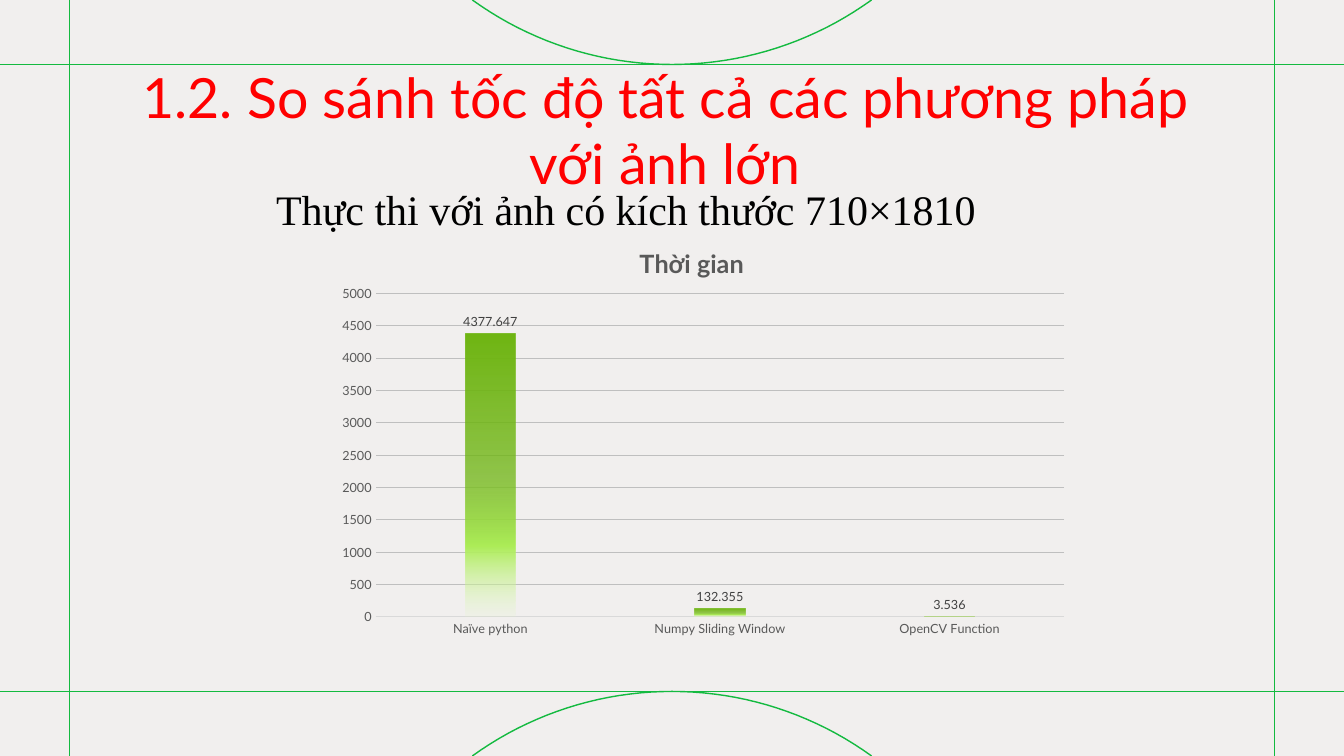
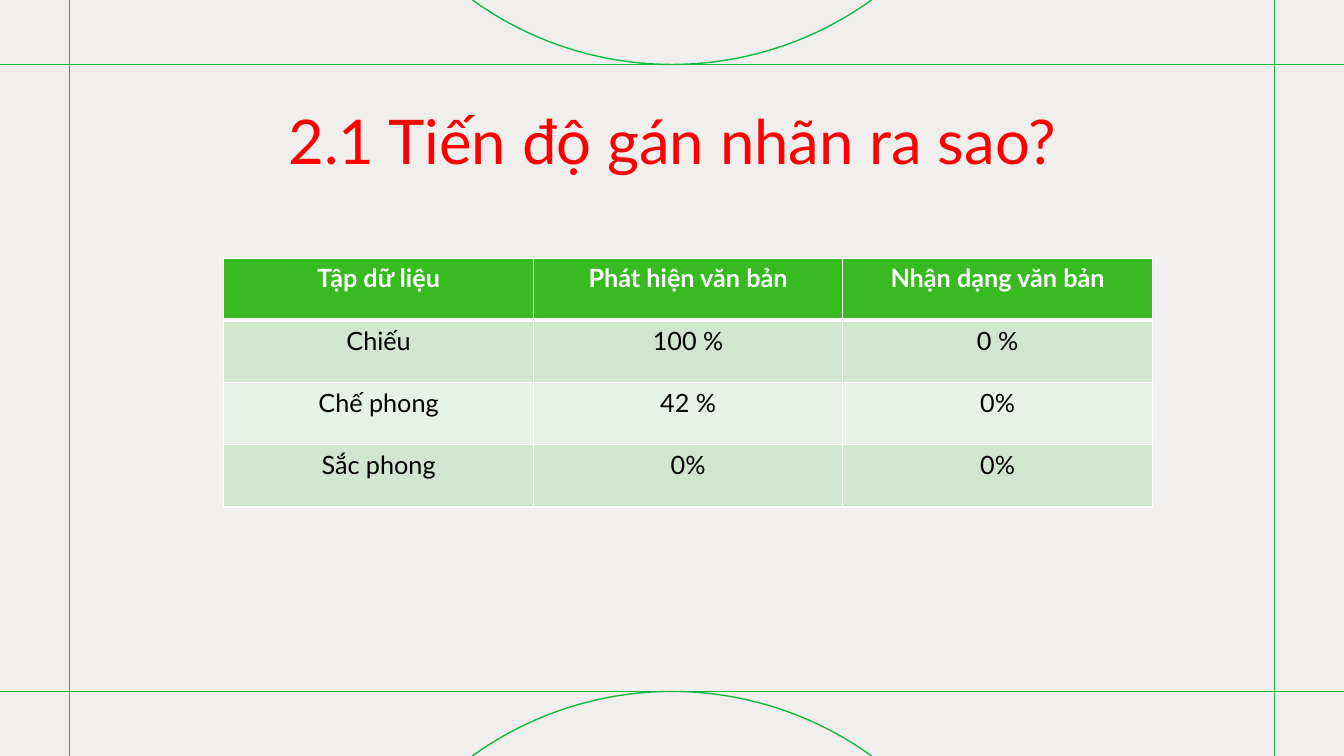
from math import asin, cos, sin

from pptx import Presentation
from pptx.chart.data import CategoryChartData
from pptx.dml.color import RGBColor
from pptx.enum.chart import XL_CHART_TYPE, XL_LABEL_POSITION, XL_TICK_MARK
from pptx.enum.text import MSO_ANCHOR, PP_ALIGN
from pptx.oxml import parse_xml
from pptx.oxml.ns import nsdecls
from pptx.util import Inches, Pt

FONT = "Lato"
PAPER, GREEN, RED = "F1EFEE", "14BA40", "FF0000"
BLACK, WHITE, GRAY = "000000", "FFFFFF", "595959"
W, H = 13.33, 7.5
MARGIN_X, MARGIN_Y = 0.69, 0.64
ARC_HALF, ARC_STEPS = 1.98, 40


def style(font, size, color, name=FONT, bold=False):
    font.name, font.size, font.bold = name, Pt(size), bold
    font.color.rgb = RGBColor.from_string(color)


def add_text(s, box, text, size, color, name=FONT, align=PP_ALIGN.LEFT, anchor=MSO_ANCHOR.TOP):
    tf = s.shapes.add_textbox(*map(Inches, box)).text_frame
    tf.word_wrap, tf.vertical_anchor = True, anchor
    p = tf.paragraphs[0]
    p.text, p.alignment = text, align
    style(p.runs[0].font, size, color, name)


prs = Presentation()
prs.slide_width, prs.slide_height = Inches(W), Inches(H)
bg = prs.slide_master.background.fill
bg.solid()
bg.fore_color.rgb = RGBColor.from_string(PAPER)

# Shared frame: four rules, an arc at the top and at the bottom, and the title
frame_lines = [
    (0, H - MARGIN_Y, W, H - MARGIN_Y),
    (0, MARGIN_Y, W, MARGIN_Y),
    (W - MARGIN_X, H, W - MARGIN_X, 0),
    (MARGIN_X, H, MARGIN_X, 0),
]
radius = (ARC_HALF ** 2 + MARGIN_Y ** 2) / (2 * MARGIN_Y)
half_angle = asin(ARC_HALF / radius)
angles = [half_angle * (2 * i / ARC_STEPS - 1) for i in range(ARC_STEPS + 1)]
top_arc = [(W / 2 + radius * sin(a), MARGIN_Y - radius * (1 - cos(a))) for a in angles]
bottom_arc = [(x, H - y) for x, y in top_arc]

titles = [
    ("1.2. So sánh tốc độ tất cả các phương pháp với ảnh lớn", (0.92, 0.8, 11.36, 0.97), 39.6),
    ("2.1 Tiến độ gán nhãn ra sao?", (0.92, 0.66, 11.5, 1.45), 44),
]
slides = []
for title, box, size in titles:
    s = prs.slides.add_slide(prs.slide_layouts[6])
    slides.append(s)
    outlines = []
    for ends in frame_lines:
        line = s.shapes.add_connector(1, *map(Inches, ends))
        line._element.spPr.append(parse_xml(f"<a:effectLst {nsdecls('a')}/>"))
        outlines.append(line)
    for points in (top_arc, bottom_arc):
        start, *rest = [(Inches(x), Inches(y)) for x, y in points]
        builder = s.shapes.build_freeform(*start)
        builder.add_line_segments(rest, close=False)
        arc = builder.convert_to_shape()
        arc.fill.background()
        arc.shadow.inherit = False
        outlines.append(arc)
    for sp in outlines:
        sp.line.color.rgb = RGBColor.from_string(GREEN)
        sp.line.width = Pt(1)
    add_text(s, box, title, size, RED, align=PP_ALIGN.CENTER, anchor=MSO_ANCHOR.MIDDLE)

speed, progress = slides

# Slide 1: run time chart
add_text(speed, (2.64, 1.77, 8.8, 0.61), "Thực thi với ảnh có kích thước 710×1810", 30, BLACK,
         "Times New Roman")

data = CategoryChartData()
data.categories = ["Naïve python", "Numpy Sliding Window", "OpenCV Function"]
data.add_series("Thời gian", [4377.647, 132.355, 3.536])
chart = speed.shapes.add_chart(XL_CHART_TYPE.COLUMN_CLUSTERED, Inches(2.97), Inches(2.25),
                               Inches(7.78), Inches(4.45), data).chart
style(chart.font, 10, BLACK)
chart.has_legend = False
chart.has_title = True
chart_title = chart.chart_title.text_frame
chart_title.text = "Thời gian"
style(chart_title.paragraphs[0].runs[0].font, 18, GRAY, bold=True)

for axis in (chart.category_axis, chart.value_axis):
    axis.major_tick_mark = axis.minor_tick_mark = XL_TICK_MARK.NONE
    style(axis.tick_labels.font, 9, GRAY)
chart.category_axis.format.line.color.rgb = RGBColor.from_string("D9D9D9")
chart.category_axis.format.line.width = Pt(0.75)
values = chart.value_axis
values.minimum_scale, values.maximum_scale, values.major_unit = 0, 5000, 500
values.format.line.fill.background()
values.major_gridlines.format.line.color.rgb = RGBColor.from_string("BFBFBF")
values.major_gridlines.format.line.width = Pt(0.75)

plot = chart.plots[0]
plot.gap_width, plot.overlap, plot.vary_by_categories = 355, -70, False
plot.has_data_labels = True
labels = plot.data_labels
labels.show_value, labels.position = True, XL_LABEL_POSITION.OUTSIDE_END
style(labels.font, 9, "404040")

# Column gradient: position %, colour, opacity %
stops = "".join(
    f'<a:gs pos="{pos * 1000}"><a:srgbClr val="{color}"><a:alpha val="{alpha * 1000}"/></a:srgbClr></a:gs>'
    for pos, color, alpha in [(0, "70B614", 100), (51, "70B614", 75),
                              (75, "ADED58", 100), (100, "E4F9C7", 15)])
plot.series[0]._element.get_or_add_spPr().insert(0, parse_xml(
    f'<a:gradFill {nsdecls("a")}><a:gsLst>{stops}</a:gsLst><a:lin ang="5400000" scaled="0"/></a:gradFill>'))

plot_area = chart._chartSpace.chart.plotArea
for old in plot_area.findall("{*}layout"):
    plot_area.remove(old)
place = "".join(f'<c:{tag} val="{val}"/>' for tag, val in [
    ("layoutTarget", "inner"), ("xMode", "edge"), ("yMode", "edge"),
    ("x", 0.097), ("y", 0.149), ("w", 0.878), ("h", 0.721)])
plot_area.insert(0, parse_xml(
    f'<c:layout {nsdecls("c")}><c:manualLayout>{place}</c:manualLayout></c:layout>'))

# Slide 2: labelling progress table
rows = [
    ("Tập dữ liệu", "Phát hiện văn bản", "Nhận dạng văn bản"),
    ("Chiếu", "100 %", "0 %"),
    ("Chế phong", "42 %", "0%"),
    ("Sắc phong", "0%", "0%"),
]
row_fills = ["38BA21", "CEE7CD", "E8F3E8", "CEE7CD"]
table = progress.shapes.add_table(len(rows), 3, Inches(2.22), Inches(2.56),
                                  Inches(9.21), Inches(2.47)).table
for i, (row, fill) in enumerate(zip(rows, row_fills)):
    header = i == 0
    borders = {"L": 1, "R": 1, "T": 3 if i == 1 else 1, "B": 3 if header else 1}
    for j, text in enumerate(row):
        cell = table.cell(i, j)
        cell.text = text
        p = cell.text_frame.paragraphs[0]
        p.alignment = PP_ALIGN.CENTER
        style(p.runs[0].font, 18, WHITE if header else BLACK, bold=header)
        tcPr = cell._tc.get_or_add_tcPr()
        for side, width in borders.items():
            tcPr.append(parse_xml(
                f'<a:ln{side} {nsdecls("a")} w="{Pt(width)}"><a:solidFill>'
                f'<a:srgbClr val="{WHITE}"/></a:solidFill></a:ln{side}>'))
        cell.fill.solid()
        cell.fill.fore_color.rgb = RGBColor.from_string(fill)

prs.save("out.pptx")
